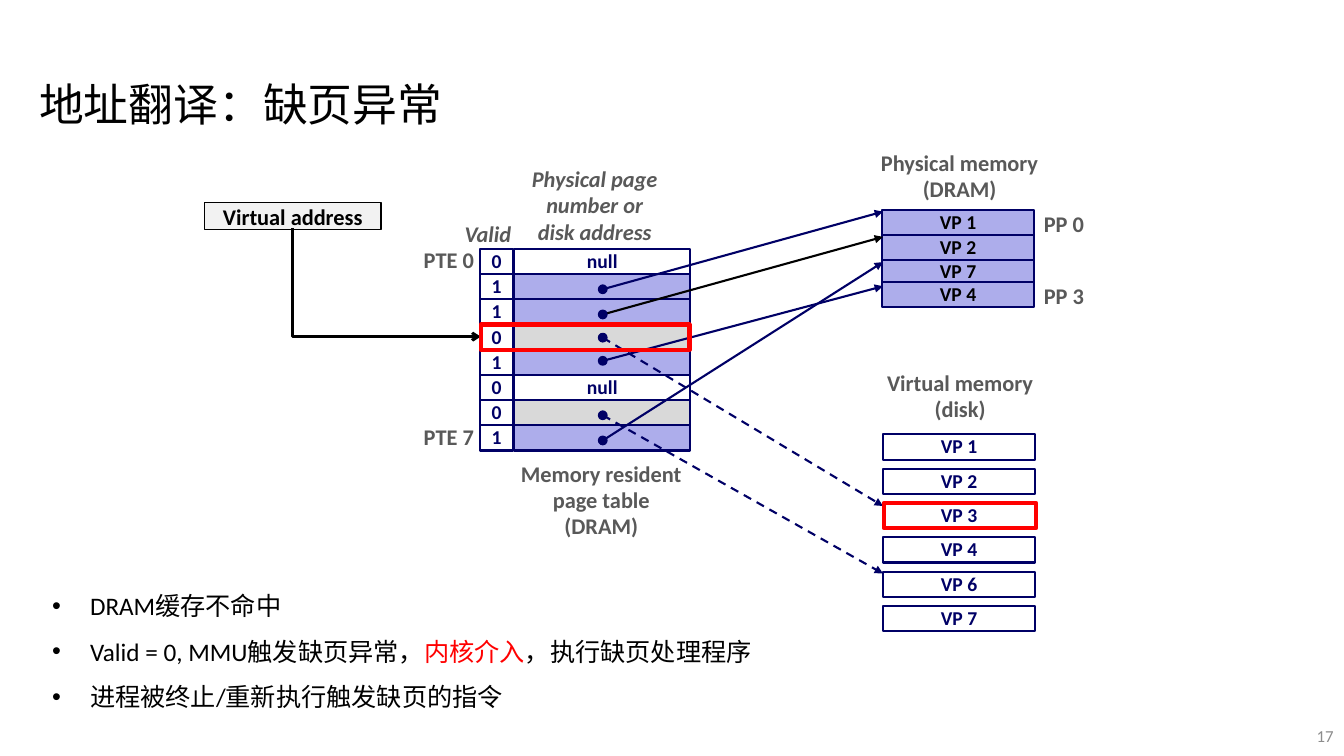
from pptx import Presentation
from pptx.dml.color import RGBColor
from pptx.enum.dml import MSO_LINE
from pptx.enum.shapes import MSO_CONNECTOR, MSO_SHAPE
from pptx.enum.text import MSO_ANCHOR, PP_ALIGN
from pptx.oxml.ns import qn
from pptx.util import Pt
from lxml.etree import SubElement

NAVY, BLACK, GRAY, RED = "000066", "000000", "595959", "FF0000"
LILAC, SILVER, WHITE = "ADADEB", "D9D9D9", "FFFFFF"
CENTER, RIGHT, LEFT = PP_ALIGN.CENTER, PP_ALIGN.RIGHT, PP_ALIGN.LEFT
TABLE_TOP, ROW_H = 177.84, 18
DOT_X, MEMORY_X = 430.56, 630.72


def rgb(color):
    return RGBColor.from_string(color)


def fill_text(tf, text, size=16, color=GRAY, bold=True, italic=False,
              align=CENTER, anchor=MSO_ANCHOR.MIDDLE, spacing=0.98, wrap=False):
    tf.word_wrap = wrap
    tf.vertical_anchor = anchor
    for i, line in enumerate(text.split("\n")):
        p = tf.paragraphs[0] if i == 0 else tf.add_paragraph()
        p.alignment = align
        p.line_spacing = spacing
        add_run(p, line, size, color, bold, italic)


def add_run(p, text, size, color, bold=False, italic=False):
    r = p.add_run()
    r.text = text
    r.font.name = "Calibri"
    r.font.size = Pt(size)
    r.font.bold = bold
    r.font.italic = italic
    r.font.color.rgb = rgb(color)


def add_label(s, x, y, w, h, text, **fmt):
    tb = s.shapes.add_textbox(Pt(x), Pt(y), Pt(w), Pt(h))
    fill_text(tb.text_frame, text, **fmt)


def add_box(s, x, y, w, h, fill=None, line=NAVY, weight=1.5, text="",
            kind=MSO_SHAPE.RECTANGLE, **fmt):
    sp = s.shapes.add_shape(kind, Pt(x), Pt(y), Pt(w), Pt(h))
    sp.shadow.inherit = False
    if fill:
        sp.fill.solid()
        sp.fill.fore_color.rgb = rgb(fill)
    else:
        sp.fill.background()
    sp.line.color.rgb = rgb(line)
    sp.line.width = Pt(weight)
    if text:
        fill_text(sp.text_frame, text, **fmt)


def add_arrow(s, x1, y1, x2, y2, color=NAVY, weight=1.5, dashed=False,
              head="triangle", kind=MSO_CONNECTOR.STRAIGHT):
    c = s.shapes.add_connector(kind, Pt(x1), Pt(y1), Pt(x2), Pt(y2))
    c.line.color.rgb = rgb(color)
    c.line.width = Pt(weight)
    if dashed:
        c.line.dash_style = MSO_LINE.DASH
    spPr = c._element.spPr
    SubElement(spPr.find(qn("a:ln")), qn("a:tailEnd"), type=head)
    SubElement(spPr, qn("a:effectLst"))
    return c


def add_corner_arrow(s, x1, y1, x2, y2, **fmt):
    w, h = y2 - y1, x2 - x1
    left, top = (x1 + x2 - w) / 2, (y1 + y2 - h) / 2
    c = add_arrow(s, left + w, top, left, top + h, kind=MSO_CONNECTOR.ELBOW, **fmt)
    spPr = c._element.spPr
    spPr.find(qn("a:xfrm")).set("rot", str(270 * 60000))
    spPr.find(qn("a:prstGeom")).set("prst", "bentConnector2")


def add_bullets(s, x, y, w, h, items):
    tf = s.shapes.add_textbox(Pt(x), Pt(y), Pt(w), Pt(h)).text_frame
    tf.word_wrap = True
    for i, item in enumerate(items):
        p = tf.paragraphs[0] if i == 0 else tf.add_paragraph()
        p.line_spacing = 1.5
        pPr = p._p.get_or_add_pPr()
        pPr.set("marL", str(Pt(27)))
        pPr.set("indent", str(-Pt(27)))
        SubElement(pPr, qn("a:buFont"), typeface="Arial")
        SubElement(pPr, qn("a:buChar"), char="•")
        for text, color in item:
            add_run(p, text, 18, color)


def add_page_table(s):
    rows = [("0", WHITE, "null"), ("1", LILAC, ""), ("1", LILAC, ""),
            ("0", SILVER, ""), ("1", LILAC, ""), ("0", WHITE, "null"),
            ("0", SILVER, ""), ("1", LILAC, "")]
    for i, (valid, fill, entry) in enumerate(rows):
        y = TABLE_TOP + i * ROW_H
        add_box(s, 367.2, y, 126, ROW_H, fill, text=entry, size=14, color=NAVY)
        add_box(s, 342.72, y, 24, ROW_H, text=valid, size=14, color=NAVY)


def add_memories(s):
    for name, y in [("VP 7", 185), ("VP 4", 201.6), ("VP 2", 167.76), ("VP 1", 149.76)]:
        add_box(s, 630, y, 108.72, 18, LILAC, text=name, size=14, color=BLACK)
    for i, number in enumerate([1, 2, 3, 4, 6, 7]):
        add_box(s, MEMORY_X, 310.32 + i * 24.5, 108.72, 18, WHITE,
                text=f"VP {number}", size=14, color=NAVY)


def add_pointers(s):
    pointers = [(206.64, 151.2, NAVY, False), (224.64, 169.2, BLACK, False),
                (241.2, 361.44, NAVY, True), (257.76, 204.48, NAVY, False),
                (296.64, 409.68, NAVY, True), (314.64, 187.2, NAVY, False)]
    for start, end, color, dashed in pointers:
        add_arrow(s, DOT_X, start, MEMORY_X, end, color, dashed=dashed)
        add_box(s, DOT_X - 3, start - 3, 6, 6, NAVY, weight=1, kind=MSO_SHAPE.OVAL)


def main():
    prs = Presentation()
    prs.slide_width, prs.slide_height = Pt(960), Pt(540)
    s = prs.slides.add_slide(prs.slide_layouts[6])

    add_label(s, 743.76, 511.2, 216, 28.8, "17", size=12, color="8C8C8C",
              bold=False, align=RIGHT, spacing=1, wrap=True)
    add_label(s, 20.88, 51.12, 324, 46, "地址翻译：缺页异常", size=32, color=BLACK,
              bold=False, align=LEFT, anchor=MSO_ANCHOR.TOP, spacing=1, wrap=True)

    add_page_table(s)
    add_memories(s)
    add_pointers(s)

    add_label(s, 362.88, 325.44, 133.2, 64, "Memory resident\npage table\n(DRAM)")
    add_label(s, 372.24, 115.2, 105.12, 64, "Physical page\nnumber or\ndisk address",
              italic=True)
    add_label(s, 324.72, 154.08, 54, 26.64, "Valid", italic=True, align=LEFT, wrap=True)
    add_label(s, 621.36, 103.68, 128.16, 45.36, "Physical memory\n(DRAM)")
    add_label(s, 624.96, 260.64, 121.68, 45.36, "Virtual memory\n(disk)")
    for y, name in [(172.8, "PTE 0"), (299.52, "PTE 7")]:
        add_label(s, 295.2, y, 50.4, 26.64, name, align=RIGHT)
    for y, name in [(146.88, "PP 0"), (198.72, "PP 3")]:
        add_label(s, 738.36, y, 43.2, 26.64, name)

    add_box(s, 146.16, 144.72, 126, 19.44, "F2F2F2", BLACK, 1,
            text="Virtual address", color=BLACK, spacing=1, wrap=True)
    add_corner_arrow(s, 208.8, 162.72, 343.44, 240.48, color=BLACK, weight=2, head="arrow")
    add_box(s, 631.44, 359.28, 108.72, 18, line=RED, weight=3)
    add_box(s, 343.44, TABLE_TOP + 3 * ROW_H, 149.04, ROW_H, line=RED, weight=3)

    add_bullets(s, 30.24, 407.52, 666.72, 101.52, [
        [("DRAM缓存不命中", BLACK)],
        [("Valid = 0, MMU触发缺页异常，", BLACK), ("内核介入", RED),
         ("，执行缺页处理程序", BLACK)],
        [("进程被终止/重新执行触发缺页的指令", BLACK)],
    ])
    prs.save("out.pptx")


if __name__ == "__main__":
    main()
